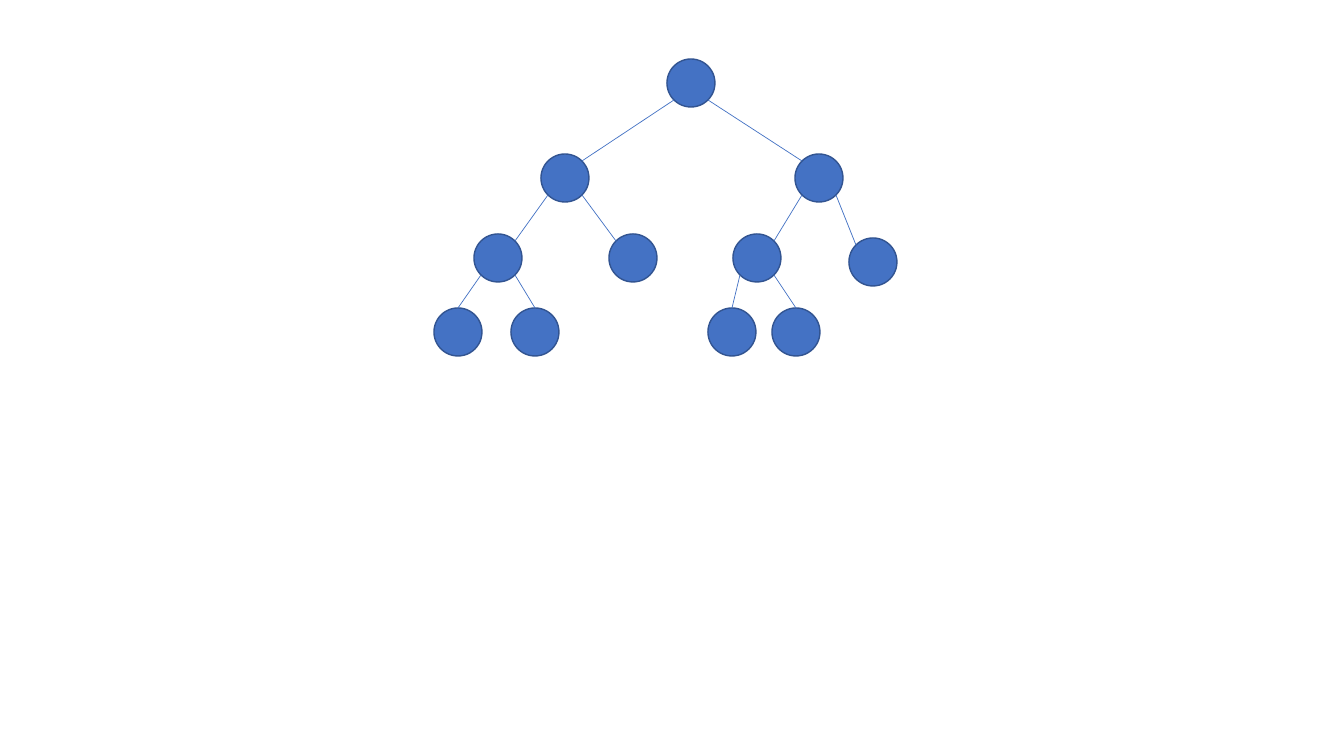
from dataclasses import dataclass
from math import sqrt

from lxml.etree import SubElement
from pptx import Presentation
from pptx.dml.color import RGBColor as RGB
from pptx.enum.shapes import MSO_CONNECTOR as Connector, MSO_SHAPE as Shape
from pptx.oxml.ns import qn
from pptx.util import Pt

EMU_PER_PIXEL = 914400 / 100.8


@dataclass(frozen=True)
class Theme:
    """Colours and line widths of the tree."""
    node: RGB = RGB(0x44, 0x72, 0xC4)
    rim: RGB = RGB(0x32, 0x54, 0x91)
    rim_width: int = Pt(1)
    branch_width: int = Pt(0.5)


def px(length):
    """Turn picture pixels into EMU."""
    return round(length * EMU_PER_PIXEL)


def style_line(line, color, width):
    """Give an outline or a branch its colour and width."""
    line.fill.solid()
    for target, name, value in ((line.color, "rgb", color), (line, "width", width)):
        setattr(target, name, value)


theme = Theme()
deck = Presentation()
for side, length in {"slide_width": 1344, "slide_height": 756}.items():
    setattr(deck, side, px(length))
tree = deck.slides.add_slide(deck.slide_layouts[6]).shapes

# Each key spells the way down from the root: L is left, R is right.
radius = 24
centers = {
    "": (691, 83),
    "L": (565, 178), "R": (819, 178),
    "LL": (498, 258), "LR": (633, 258), "RL": (757, 258), "RR": (873, 262),
    "LLL": (458, 332), "LLR": (535, 332), "RLL": (732, 332), "RLR": (796, 332),
}

for x, y in centers.values():
    node = tree.add_shape(Shape.OVAL, px(x - radius), px(y - radius),
                          px(2 * radius), px(2 * radius))
    node.shadow.inherit = False
    node.fill.solid()
    node.fill.fore_color.rgb = theme.node
    style_line(node.line, theme.rim, theme.rim_width)

# Branches leave a parent diagonally; the lowest nodes are met at the top,
# the others at the upper corner that faces the parent.
diagonal = round(radius / sqrt(2))
for route, (x, y) in centers.items():
    if not route:
        continue
    parent_x, parent_y = centers[route[:-1]]
    side = -1 if route[-1] == "L" else 1
    start = (parent_x + side * diagonal, parent_y + diagonal)
    if len(route) == 3:
        end = (x, y - radius)
    else:
        end = (x - side * diagonal, y - diagonal)
    branch = tree.add_connector(Connector.STRAIGHT, *map(px, start + end))
    style_line(branch.line, theme.node, theme.branch_width)
    SubElement(branch._element.spPr, qn("a:effectLst"))

deck.save("out.pptx")
